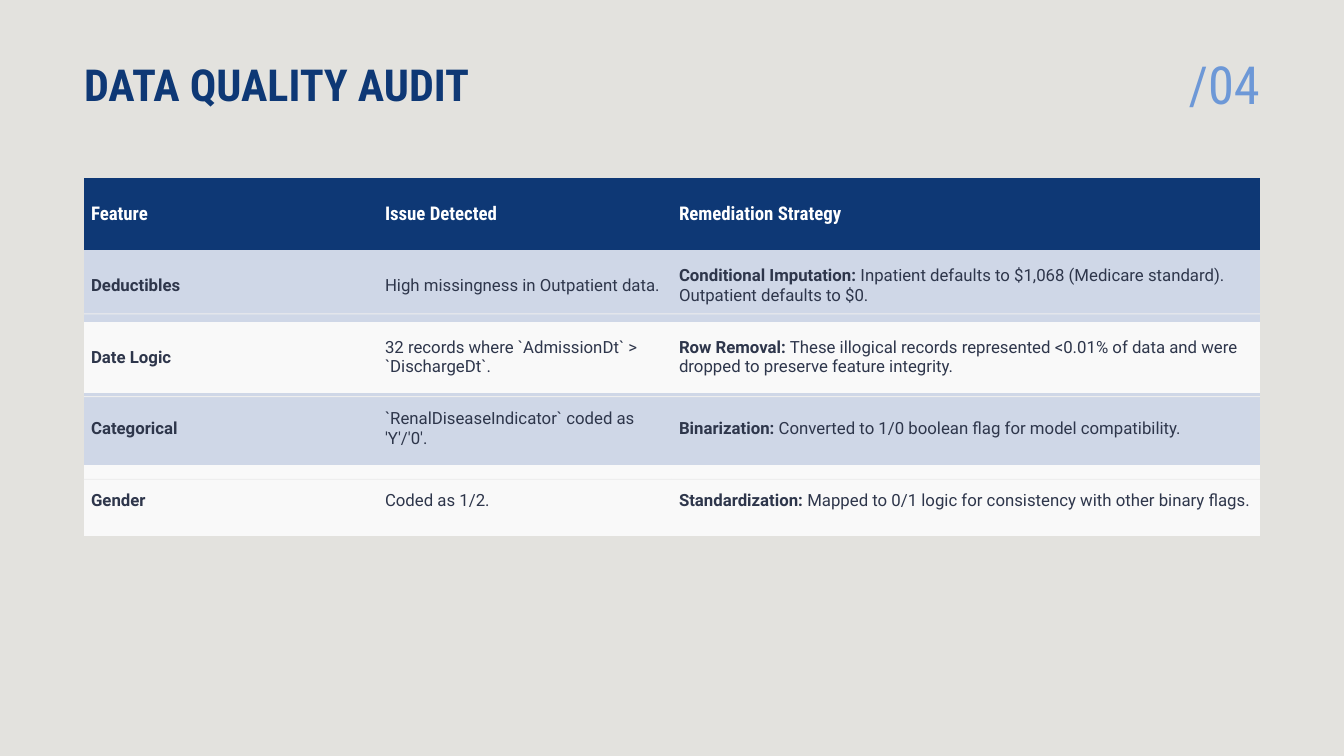
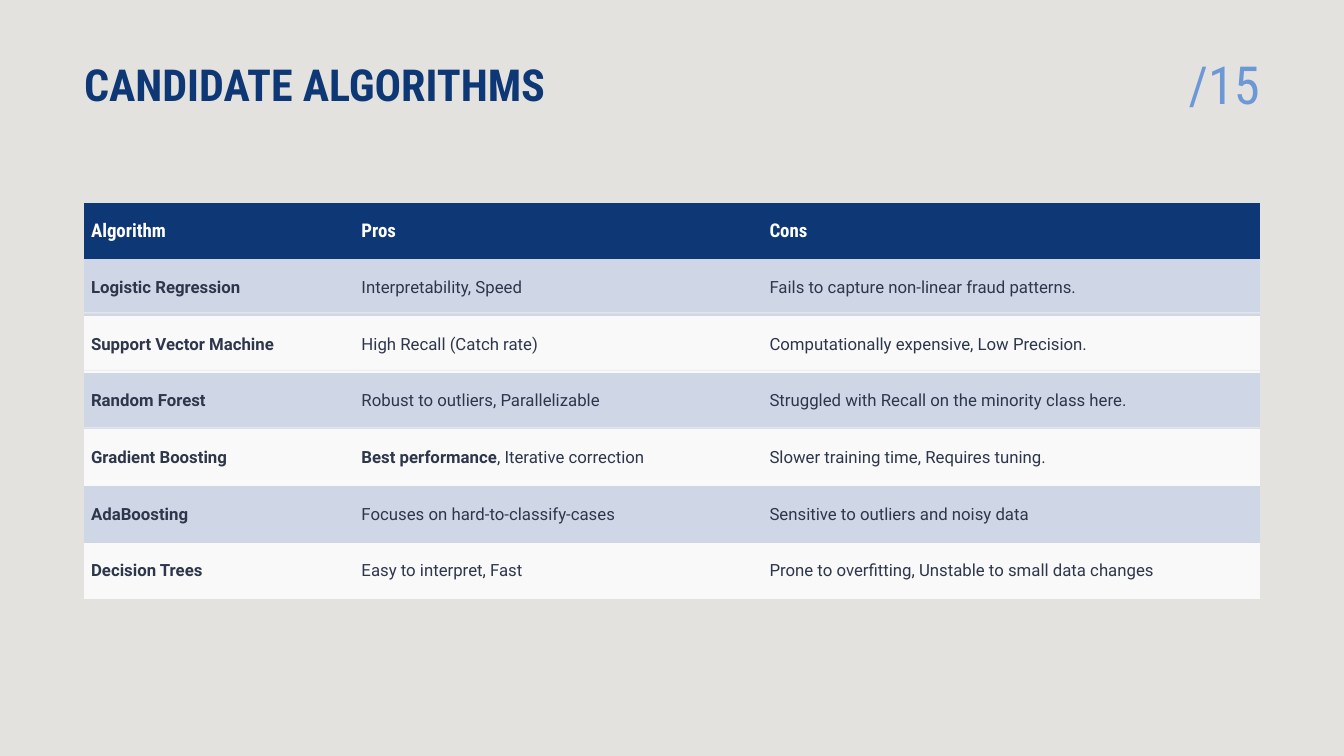
from pptx import Presentation
from pptx.dml.color import RGBColor
from pptx.enum.shapes import MSO_SHAPE as SHAPE
from pptx.enum.text import MSO_ANCHOR as ANCHOR, PP_ALIGN as ALIGN
from pptx.oxml.ns import qn
from pptx.util import Inches, Pt

PAPER = RGBColor(0xE3, 0xE2, 0xDE)
NAVY = RGBColor(0x0E, 0x38, 0x75)
SKY = RGBColor(0x6D, 0x98, 0xD7)
INK = RGBColor(0x2E, 0x36, 0x4B)
WHITE = RGBColor(0xFF, 0xFF, 0xFF)
BANDS = (RGBColor(0xF9, 0xF9, 0xF9), RGBColor(0xCF, 0xD7, 0xE7))
RULE = RGBColor(0xEE, 0xEE, 0xEE)

HEADING, BODY = "Roboto Condensed", "Roboto"
TITLE = dict(name=HEADING, size=Pt(31.5), bold=True)
NUMBER = dict(name=HEADING, size=Pt(37.5), bold=False)
HEAD_CELL = dict(name=HEADING, size=Pt(13.5), bold=True)
BODY_CELL = dict(name=BODY, size=Pt(12), bold=False)
CELL_FORMAT = dict(vertical_anchor=ANCHOR.MIDDLE,
                   margin_left=Inches(0.07), margin_right=Inches(0.07),
                   margin_top=Inches(0.03), margin_bottom=Inches(0.03))
NO_GRID_STYLE = "{2D5ABB26-0587-4C30-8999-92F81FD0307C}"

prs = Presentation()
prs.slide_width, prs.slide_height = Inches(40 / 3), Inches(7.5)
MARGIN = prs.slide_width // 16
CONTENT_W = prs.slide_width - 2 * MARGIN

fill = prs.slide_master.background.fill
fill.solid()
fill.fore_color.rgb = PAPER

# Text between ** marks is bold; "columns" holds relative widths.
SLIDES = [
    dict(title="DATA QUALITY AUDIT", number="/04",
         top=1.77, row_h=0.71, columns=(1, 1, 2), rule_top=3.11, rule_gap=0.82,
         rows=[
             ("Feature", "Issue Detected", "Remediation Strategy"),
             ("**Deductibles**", "High missingness in Outpatient data.",
              "**Conditional Imputation:** Inpatient defaults to $1,068 "
              "(Medicare standard). Outpatient defaults to $0."),
             ("**Date Logic**", "32 records where `AdmissionDt` > `DischargeDt`.",
              "**Row Removal:** These illogical records represented <0.01% of data "
              "and were dropped to preserve feature integrity."),
             ("**Categorical**", "`RenalDiseaseIndicator` coded as 'Y'/'0'.",
              "**Binarization:** Converted to 1/0 boolean flag for model compatibility."),
             ("**Gender**", "Coded as 1/2.",
              "**Standardization:** Mapped to 0/1 logic for consistency "
              "with other binary flags."),
         ]),
    dict(title="CANDIDATE ALGORITHMS", number="/15",
         top=2.01, row_h=0.5625, columns=(23, 34.7, 42.3), rule_top=3.1, rule_gap=0.57,
         rows=[
             ("Algorithm", "Pros", "Cons"),
             ("**Logistic Regression**", "Interpretability, Speed",
              "Fails to capture non-linear fraud patterns."),
             ("**Support Vector Machine**", "High Recall (Catch rate)",
              "Computationally expensive, Low Precision."),
             ("**Random Forest**", "Robust to outliers, Parallelizable",
              "Struggled with Recall on the minority class here."),
             ("**Gradient Boosting**", "**Best performance**, Iterative correction",
              "Slower training time, Requires tuning."),
             ("**AdaBoosting**", "Focuses on hard-to-classify-cases",
              "Sensitive to outliers and noisy data"),
             ("**Decision Trees**", "Easy to interpret, Fast",
              "Prone to overfitting, Unstable to small data changes"),
         ]),
]


def write(tf, text, style, color, align=ALIGN.LEFT):
    """Fill the first paragraph, setting text between ** marks in bold."""
    p = tf.paragraphs[0]
    p.alignment = align
    for i, part in enumerate(text.split("**")):
        if not part:
            continue
        r = p.add_run()
        r.text = part
        for key, value in style.items():
            setattr(r.font, key, value)
        r.font.bold = style["bold"] or i % 2 == 1
        r.font.color.rgb = color


def add_label(s, left, top, width, height, text, style, color, align):
    tf = s.shapes.add_textbox(left, Inches(top), width, Inches(height)).text_frame
    tf.word_wrap = True
    tf.margin_left = tf.margin_right = tf.margin_top = tf.margin_bottom = 0
    write(tf, text, style, color, align)


for content in SLIDES:
    s = prs.slides.add_slide(prs.slide_layouts[6])
    rows = content["rows"]
    unit = CONTENT_W / sum(content["columns"])
    widths = [int(share * unit) for share in content["columns"]]
    row_h = Inches(content["row_h"])

    frame = s.shapes.add_table(len(rows), len(widths), MARGIN, Inches(content["top"]),
                               CONTENT_W, row_h * len(rows))
    next(frame._element.iter(qn("a:tableStyleId"))).text = NO_GRID_STYLE
    table = frame.table
    table.horz_banding = False
    for column, width in zip(table.columns, widths):
        column.width = width
    for i, texts in enumerate(rows):
        table.rows[i].height = row_h
        style, color, band = ((BODY_CELL, INK, BANDS[i % 2]) if i
                              else (HEAD_CELL, WHITE, NAVY))
        for cell, text in zip(table.rows[i].cells, texts):
            for key, value in CELL_FORMAT.items():
                setattr(cell, key, value)
            cell.fill.solid()
            cell.fill.fore_color.rgb = band
            write(cell.text_frame, text, style, color)

    number_w = CONTENT_W // 8
    add_label(s, MARGIN, 0.57, CONTENT_W - number_w, 0.51,
              content["title"], TITLE, NAVY, ALIGN.LEFT)
    add_label(s, MARGIN + CONTENT_W - number_w, 0.52, number_w, 0.6,
              content["number"], NUMBER, SKY, ALIGN.RIGHT)

    for i in range(3):
        top = Inches(content["rule_top"] + i * content["rule_gap"])
        for j, width in enumerate(widths):
            sp = s.shapes.add_shape(SHAPE.RECTANGLE, MARGIN + sum(widths[:j]), top,
                                    width, Inches(0.01))
            sp.shadow.inherit = False
            sp.fill.solid()
            sp.fill.fore_color.rgb = RULE
            sp.line.fill.background()

prs.save("out.pptx")
